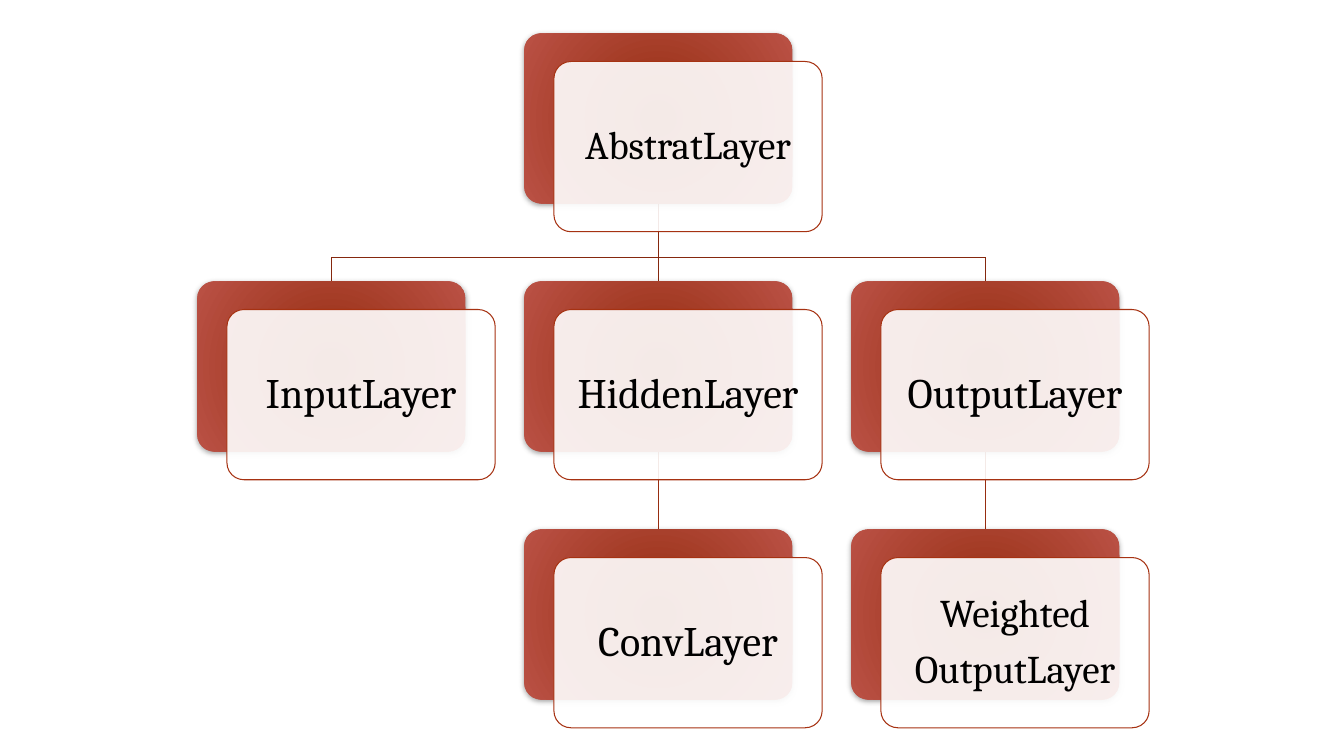
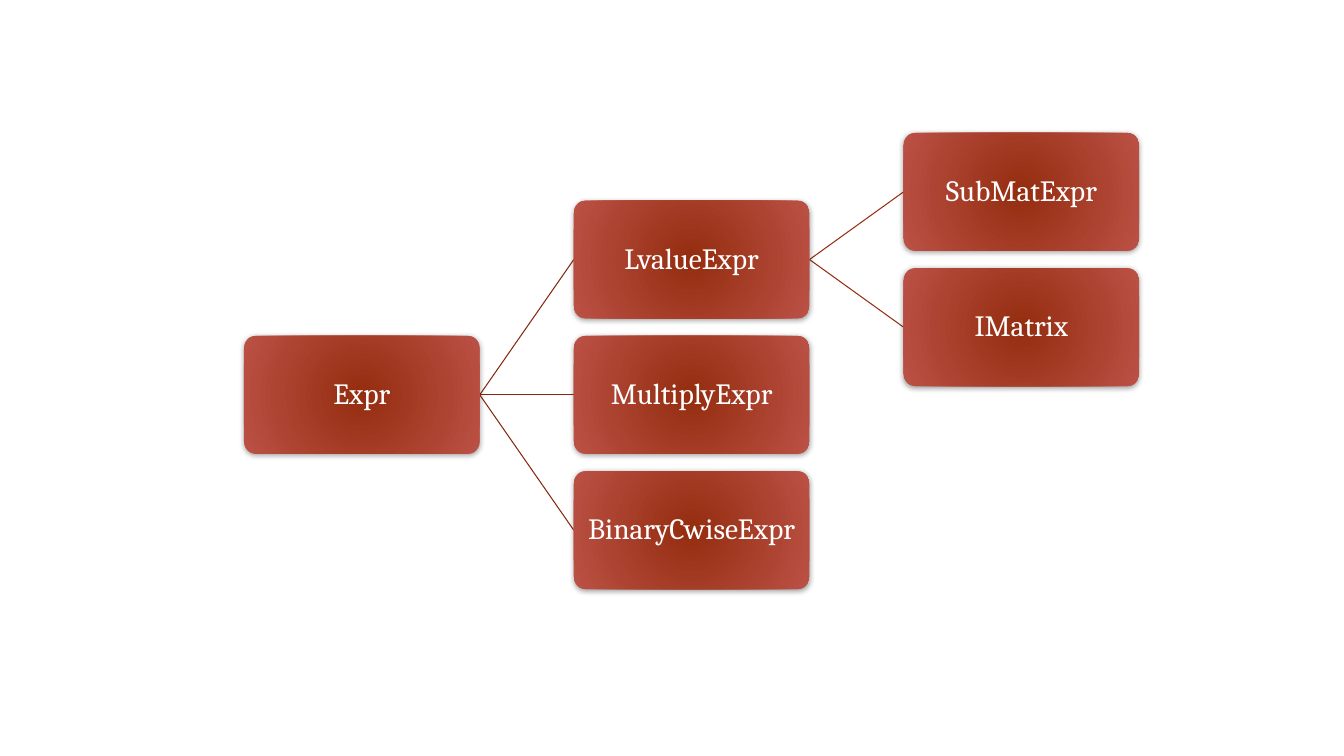
"""Build two class hierarchy diagrams: layers and matrix expressions."""
from itertools import pairwise

from lxml.etree import SubElement
from pptx import Presentation
from pptx.dml.color import RGBColor
from pptx.enum.shapes import MSO_CONNECTOR as Connector, MSO_SHAPE as Shape
from pptx.enum.text import MSO_ANCHOR as Anchor, PP_ALIGN as Align
from pptx.oxml.ns import qn
from pptx.util import Cm, Pt

FONT = "Cambria"
WHITE = RGBColor(0xFF, 0xFF, 0xFF)
BLACK = RGBColor(0x00, 0x00, 0x00)
CARD_CORE = RGBColor(0x95, 0x2D, 0x10)
CARD_EDGE = RGBColor(0xBA, 0x51, 0x45)
PANEL_LINE = RGBColor(0xA6, 0x32, 0x12)
LINK_COLORS = [RGBColor(0x85, 0x28, 0x0E), RGBColor(0x97, 0x2D, 0x10)]
THIN = Pt(0.75)

LAYER_SIZE = (6.76, 4.29)
LAYER_ORIGIN = (4.97, 0.84)
LAYER_PITCH = (8.24, 6.25)
PANEL_OFFSET = (0.75, 0.71)
BEND_DROP = 1.35
LAYERS = [
    ("AbstratLayer", 1, 0, 28),
    ("InputLayer", 0, 1, 30),
    ("HiddenLayer", 1, 1, 30),
    ("ConvLayer", 1, 2, 30),
    ("OutputLayer", 2, 1, 30),
    ("Weighted\nOutputLayer", 2, 2, 28),
]
LAYER_LINKS = [
    ("OutputLayer", "Weighted\nOutputLayer"),
    ("AbstratLayer", "OutputLayer"),
    ("HiddenLayer", "ConvLayer"),
    ("AbstratLayer", "HiddenLayer"),
    ("AbstratLayer", "InputLayer"),
]

EXPR_SIZE = (5.94, 2.97)
EXPR_ORIGIN = (6.15, 3.35)
EXPR_PITCH = (8.31, 3.41)
EXPRS = [
    ("Expr", 0, 1.5),
    ("LvalueExpr", 1, 0.5),
    ("SubMatExpr", 2, 0),
    ("IMatrix", 2, 1),
    ("MultiplyExpr", 1, 1.5),
    ("BinaryCwiseExpr", 1, 2.5),
]
EXPR_LINKS = [
    ("Expr", "LvalueExpr"),
    ("LvalueExpr", "SubMatExpr"),
    ("LvalueExpr", "IMatrix"),
    ("Expr", "MultiplyExpr"),
    ("Expr", "BinaryCwiseExpr"),
]


def grid_point(origin, pitch, column, row):
    """Return the top left corner of a grid cell in centimetres."""
    return origin[0] + column * pitch[0], origin[1] + row * pitch[1]


def write_text(box, text, *, size, color, inset):
    """Fill a shape with centred paragraphs, one per line of text."""
    frame = box.text_frame
    frame.word_wrap = True
    frame.vertical_anchor = Anchor.MIDDLE
    frame.margin_left = frame.margin_right = Cm(inset)
    frame.margin_top = frame.margin_bottom = Cm(inset)
    frame.text = text
    for para in frame.paragraphs:
        para.alignment = Align.CENTER
        para.line_spacing = 0.9
        para.space_after = Pt(0.35 * size)
        para.font.name = FONT
        para.font.size = Pt(size)
        para.font.color.rgb = color


def add_rounded(page, corner, size):
    """Add a rounded rectangle without a shadow."""
    box = page.shapes.add_shape(Shape.ROUNDED_RECTANGLE, *map(Cm, corner + size))
    box.adjustments[0] = 0.1
    box.shadow.inherit = False
    return box


def add_card(page, corner, size):
    """Add a red card with a radial gradient and a soft shadow."""
    card = add_rounded(page, corner, size)
    card.line.fill.background()
    card.fill.gradient()
    for stop, color in zip(card.fill.gradient_stops, (CARD_CORE, CARD_EDGE)):
        stop.color.rgb = color
    properties = card.element.spPr
    gradient = properties.find(qn("a:gradFill"))
    gradient.remove(gradient.find(qn("a:lin")))
    radial = SubElement(gradient, qn("a:path"), {"path": "circle"})
    SubElement(radial, qn("a:fillToRect"),
               {"l": "40000", "t": "100000", "r": "40000", "b": "100000"})
    shadow = SubElement(properties.find(qn("a:effectLst")), qn("a:outerShdw"),
                        {"blurRad": str(Pt(4)), "dist": str(Pt(1)),
                         "dir": "5400000", "rotWithShape": "0"})
    shade = SubElement(shadow, qn("a:srgbClr"), {"val": str(BLACK)})
    SubElement(shade, qn("a:alpha"), {"val": "37000"})
    return card


def add_panel(page, corner, size):
    """Add a translucent white panel with a thin red outline."""
    panel = add_rounded(page, corner, size)
    panel.fill.solid()
    panel.fill.fore_color.rgb = WHITE
    tint = panel.element.spPr.find(qn("a:solidFill"))[0]
    SubElement(tint, qn("a:alpha"), {"val": "90000"})
    panel.line.color.rgb = PANEL_LINE
    panel.line.width = THIN
    return panel


def add_link(page, points, color):
    """Join successive points with thin straight lines."""
    for start, end in pairwise(points):
        link = page.shapes.add_connector(Connector.STRAIGHT, *map(Cm, start + end))
        link.line.color.rgb = color
        link.line.width = THIN
        SubElement(link.element.spPr, qn("a:effectLst"))


def draw_layers(page):
    """Draw the layer hierarchy from top to bottom."""
    width, height = LAYER_SIZE
    corners = {name: grid_point(LAYER_ORIGIN, LAYER_PITCH, column, row)
               for name, column, row, _ in LAYERS}
    levels = {name: row for name, _, row, _ in LAYERS}
    for parent, child in LAYER_LINKS:
        (parent_left, parent_top), (child_left, child_top) = corners[parent], corners[child]
        start = (parent_left + width / 2, parent_top + height)
        end = (child_left + width / 2, child_top)
        bend = start[1] + BEND_DROP
        corner_points = [(start[0], bend), (end[0], bend)] if start[0] != end[0] else []
        add_link(page, [start, *corner_points, end], LINK_COLORS[levels[parent]])
    for name, _, _, size in LAYERS:
        left, top = corners[name]
        add_card(page, (left, top), LAYER_SIZE)
        panel = add_panel(page, (left + PANEL_OFFSET[0], top + PANEL_OFFSET[1]), LAYER_SIZE)
        write_text(panel, name, size=size, color=BLACK, inset=0.4)


def draw_expressions(page):
    """Draw the expression hierarchy from left to right."""
    width, height = EXPR_SIZE
    corners = {name: grid_point(EXPR_ORIGIN, EXPR_PITCH, column, row)
               for name, column, row in EXPRS}
    levels = {name: column for name, column, _ in EXPRS}
    for parent, child in EXPR_LINKS:
        (parent_left, parent_top), (child_left, child_top) = corners[parent], corners[child]
        start = (parent_left + width, parent_top + height / 2)
        end = (child_left, child_top + height / 2)
        add_link(page, [start, end], LINK_COLORS[levels[parent]])
    for name, corner in corners.items():
        card = add_card(page, corner, EXPR_SIZE)
        write_text(card, name, size=21, color=WHITE, inset=0.1)


def main():
    """Create the deck and save it."""
    deck = Presentation()
    deck.slide_width, deck.slide_height = Cm(33.87), Cm(19.05)
    blank = deck.slide_layouts[6]
    for draw in (draw_layers, draw_expressions):
        draw(deck.slides.add_slide(blank))
    deck.save("out.pptx")


if __name__ == "__main__":
    main()
